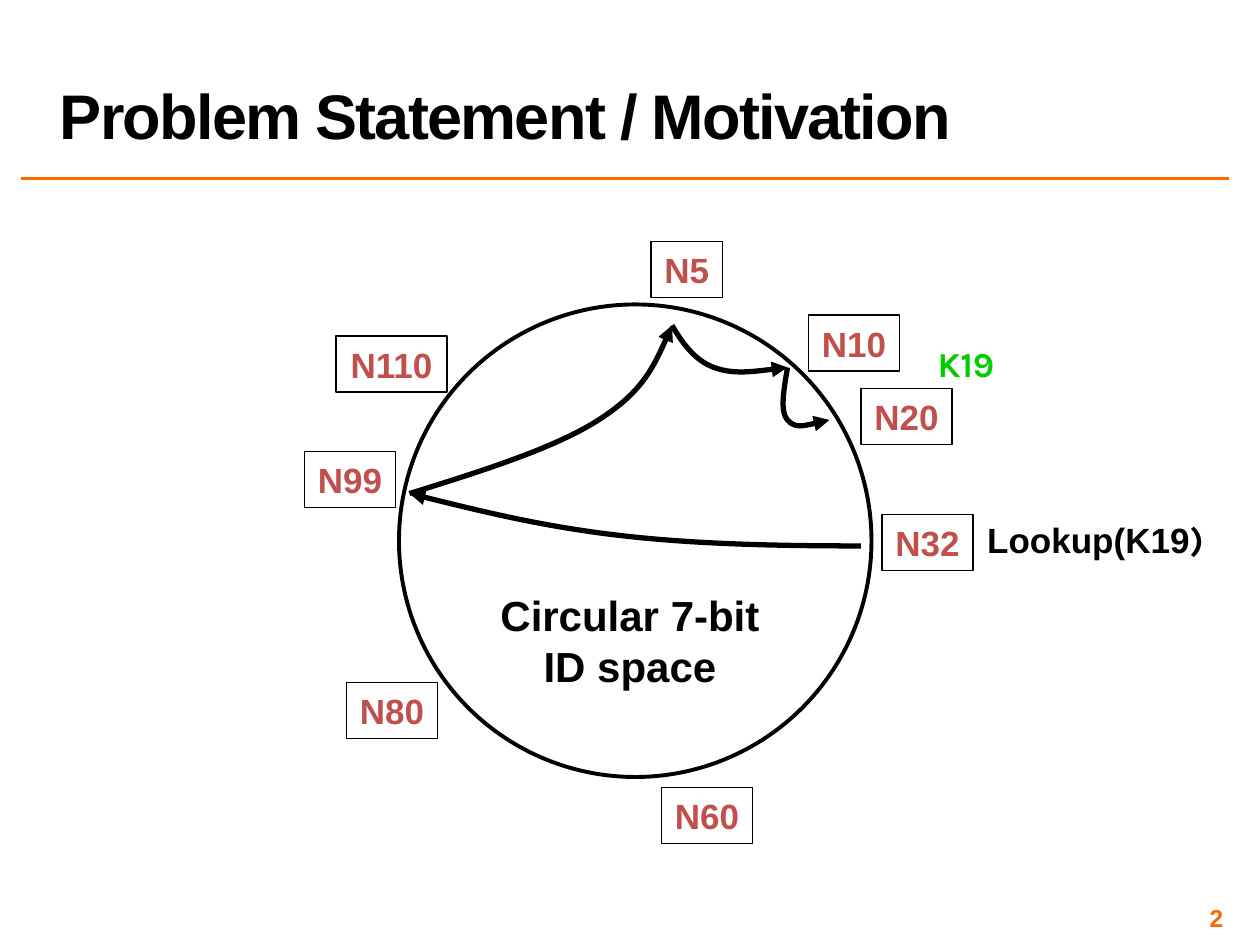
from lxml import etree
from pptx import Presentation
from pptx.dml.color import RGBColor
from pptx.enum import shapes, text
from pptx.oxml import ns
from pptx.util import Pt

COLORS = {"ink": "000000", "node": "C0504D", "accent": "FF6600", "key": "00CC00"}
NODES = [
    ("N32", 504, 294, 52), ("N10", 462, 180, 52), ("N5", 372, 138, 41),
    ("N20", 492, 222, 52), ("N110", 192, 192, 63.5), ("N99", 174, 258, 52),
    ("N80", 198, 390, 52), ("N60", 378, 450, 52),
]
HOPS = [
    [(492, 312), (444, 312), (396.5, 311), (354, 306), (311, 301), (272, 291.5), (234, 282)],
    [(234, 282), (276, 269), (317, 256), (342, 240), (367, 224), (376, 205), (384, 186)],
    [(384, 186), (390, 196), (397, 206), (408, 210), (419, 214), (434, 212), (450, 210)],
    [(450, 210), (448, 222.5), (445.5, 235), (450, 240), (454.5, 245), (463.5, 242.5), (474, 240)],
]


def rgb(name):
    """Return the named colour."""
    return RGBColor.from_string(COLORS[name])


def style_line(s, color, width):
    """Set the colour and width of an outline."""
    s.line.color.rgb = rgb(color)
    s.line.width = Pt(width)


def write(s, content, size, color, align=text.PP_ALIGN.CENTER, font="Arial"):
    """Fill a shape with bold text and return its text frame."""
    tf = s.text_frame
    tf.text = content
    tf.word_wrap = False
    for p in tf.paragraphs:
        p.alignment = align
        for r in p.runs:
            r.font.name, r.font.size, r.font.bold = font, Pt(size), True
            r.font.color.rgb = rgb(color)
    return tf


def add_outline(slide, kind, box, width):
    """Add an unfilled preset shape with a black outline."""
    s = slide.shapes.add_shape(kind, *map(Pt, box))
    s.shadow.inherit = False
    s.fill.background()
    style_line(s, "ink", width)
    return s


def add_label(slide, content, box, size, color, **options):
    """Add a text box and return its text frame."""
    s = slide.shapes.add_textbox(*map(Pt, box))
    return write(s, content, size, color, **options)


def add_curved_arrow(slide, points):
    """Add an arrow whose points are a start and triples of Bezier points."""
    start, *rest = [(Pt(x), Pt(y)) for x, y in points]
    builder = slide.shapes.build_freeform(*start)
    builder.add_line_segments(rest, close=False)
    s = builder.convert_to_shape()
    s.shadow.inherit = False
    s.fill.background()
    style_line(s, "ink", 3)
    etree.SubElement(s.line._get_or_add_ln(), ns.qn("a:tailEnd"), type="triangle")
    segments = list(s._element.iter(ns.qn("a:lnTo")))
    for i in range(0, len(segments), 3):
        first = segments[i]
        first.tag = ns.qn("a:cubicBezTo")
        for other in segments[i + 1:i + 3]:
            first.append(other[0])
            other.getparent().remove(other)


def add_title(slide, content):
    """Place and format the title placeholder."""
    s = slide.shapes.title
    s.left, s.top, s.width, s.height = map(Pt, (27, 6, 675, 84))
    tf = write(s, content, 36, "ink", align=text.PP_ALIGN.LEFT)
    tf.word_wrap = True
    tf.vertical_anchor = text.MSO_ANCHOR.BOTTOM
    p = tf.paragraphs[0]
    p.line_spacing = 0.8
    p.runs[0].font._element.set("spc", "-100")


def add_rule(slide):
    """Add the line below the title."""
    s = slide.shapes.add_connector(
        shapes.MSO_CONNECTOR.STRAIGHT, Pt(12), Pt(102), Pt(702), Pt(102))
    style_line(s, "accent", 2)
    etree.SubElement(s._element.spPr, ns.qn("a:effectLst"))


def add_page_number(slide, number):
    """Add the slide number at the bottom right."""
    tf = add_label(slide, number, (534, 516, 168, 17), 14, "accent",
                   align=text.PP_ALIGN.RIGHT)
    tf.word_wrap = True
    tf.vertical_anchor = text.MSO_ANCHOR.MIDDLE
    tf.margin_left = tf.margin_right = tf.margin_top = tf.margin_bottom = Pt(3)


def main():
    """Build the slide and save it."""
    prs = Presentation()
    prs.slide_width, prs.slide_height = Pt(720), Pt(540)
    slide = prs.slides.add_slide(prs.slide_layouts[5])
    add_title(slide, "Problem Statement / Motivation")
    add_rule(slide)
    add_page_number(slide, "2")
    add_outline(slide, shapes.MSO_SHAPE.OVAL, (228, 174, 270, 270), 2.25)
    for name, left, top, width in NODES:
        s = add_outline(slide, shapes.MSO_SHAPE.RECTANGLE, (left, top, width, 32), 0.75)
        write(s, name, 20, "node")
    for points in HOPS:
        add_curved_arrow(slide, points)
    tf = add_label(slide, "Lookup(K19", (556, 293, 140, 32), 20, "ink")
    r = tf.paragraphs[0].add_run()
    r.text = ")"
    r.font.name, r.font.size, r.font.bold = "Karla", Pt(20), True
    r.font.color.rgb = rgb("ink")
    add_label(slide, "K19", (528, 192, 48, 31), 20, "key", font="Karla")
    add_label(slide, "Circular 7-bit\nID space", (278, 333.5, 164, 65.5), 24, "ink")
    prs.save("out.pptx")


if __name__ == "__main__":
    main()
